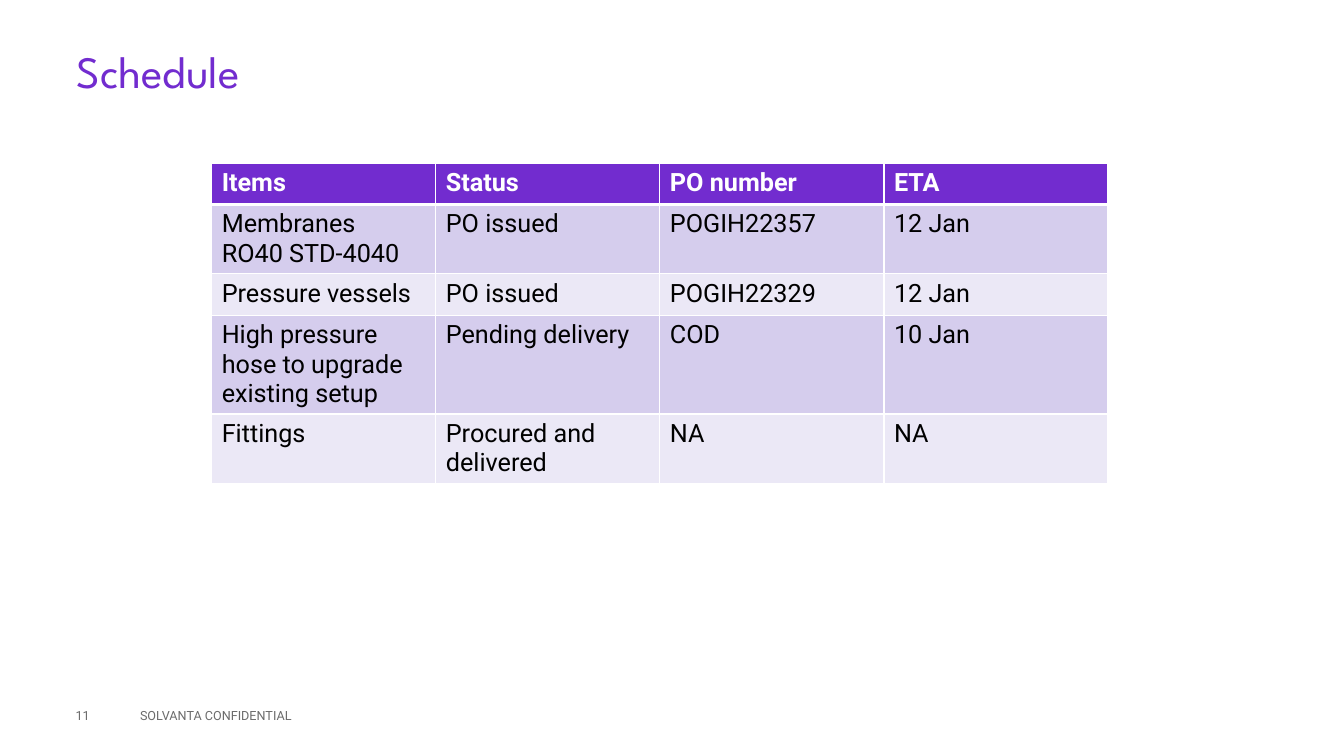
"""Build the schedule slide with its procurement table."""
from dataclasses import dataclass

from lxml import etree
from pptx import Presentation
from pptx import util as u
from pptx.dml.color import RGBColor
from pptx.enum import text
from pptx.oxml import ns

PURPLE, WHITE, BLACK, GREY = "722CCF", "FFFFFF", "000000", "6C6C6C"
BANDS = ("D5CDED", "EBE8F6")
SLIDE_W, SLIDE_H = u.Inches(13.33), u.Inches(7.5)
LINE_H, CELL_PAD, MIN_ROW_H = u.Inches(0.29), u.Inches(0.1), u.Inches(0.41)


@dataclass
class Box:
    """Place on the slide, in percent of its width and height."""
    left: float
    top: float
    width: float
    height: float

    def emu(self) -> tuple[int, int, int, int]:
        """Return left, top, width and height as lengths."""
        return (int(SLIDE_W * self.left / 100), int(SLIDE_H * self.top / 100),
                int(SLIDE_W * self.width / 100), int(SLIDE_H * self.height / 100))


@dataclass
class Row:
    """Table row with the number of text lines in its tallest cell."""
    cells: tuple[str, ...]
    lines: int = 1


@dataclass
class Footer:
    """Small text at the foot of the slide."""
    label: str
    box: Box
    inset: float


ROWS = (
    Row(("Items", "Status", "PO number", "ETA")),
    Row(("Membranes\nRO40 STD-4040", "PO issued", "POGIH22357", "12 Jan"), 2),
    Row(("Pressure vessels", "PO issued", "POGIH22329", "12 Jan")),
    Row(("High pressure hose to upgrade existing setup", "Pending delivery",
         "COD", "10 Jan"), 3),
    Row(("Fittings", "Procured and delivered", "NA", "NA"), 2),
)
FOOTERS = (
    Footer("SOLVANTA CONFIDENTIAL", Box(9.68, 92, 33.76, 5.33), 0.1),
    Footer("11", Box(5.63, 92, 4.05, 5.33), 0),
)
TITLE_BOX = Box(5.7, 5.33, 88.6, 8.93)
TABLE_BOX = Box(15.75, 21.6, 66.69, 42.8)


def color(value: str) -> RGBColor:
    """Turn a hex string into a colour."""
    return RGBColor.from_string(value)


def set_attrs(obj, values: dict) -> None:
    """Set each named attribute of an object."""
    for name, value in values.items():
        setattr(obj, name, value)


def format_text(tf, font: str, size: float, hex_color: str, bold: bool = False) -> None:
    """Format every run of a text frame and align it left."""
    for p in tf.paragraphs:
        p.alignment = text.PP_ALIGN.LEFT
        for r in p.runs:
            set_attrs(r.font, {"name": font, "size": u.Pt(size), "bold": bold})
            r.font.color.rgb = color(hex_color)


def set_frame(tf, inset: float) -> None:
    """Centre a text frame vertically, wrap it and set its left inset."""
    set_attrs(tf, {"word_wrap": True, "auto_size": text.MSO_AUTO_SIZE.NONE,
                   "vertical_anchor": text.MSO_ANCHOR.MIDDLE,
                   "margin_left": u.Inches(inset), "margin_right": u.Inches(0.1),
                   "margin_top": u.Inches(0.05), "margin_bottom": u.Inches(0.05)})


def add_border(cell, side: str, width: float) -> None:
    """Draw a white line on one side of a table cell."""
    tc_pr = cell._tc.get_or_add_tcPr()
    ln = etree.SubElement(tc_pr, ns.qn(f"a:ln{side}"), w=str(u.Pt(width)))
    fill = etree.SubElement(ln, ns.qn("a:solidFill"))
    etree.SubElement(fill, ns.qn("a:srgbClr"), val=WHITE)


def add_title(s, label: str) -> None:
    """Fill and place the title placeholder."""
    sp = s.shapes.title
    sp.left, sp.top, sp.width, sp.height = TITLE_BOX.emu()
    tf = sp.text_frame
    tf.text = label
    set_frame(tf, 0)
    tf.paragraphs[0].line_spacing = 0.9
    format_text(tf, "League Spartan", 32, PURPLE)


def add_footer(s, footer: Footer) -> None:
    """Add one footer text box."""
    tf = s.shapes.add_textbox(*footer.box.emu()).text_frame
    tf.text = footer.label
    set_frame(tf, footer.inset)
    format_text(tf, "Roboto", 9, GREY)


def add_schedule(s, rows: tuple[Row, ...]) -> None:
    """Add the table with a purple header and banded rows."""
    table = s.shapes.add_table(len(rows), len(rows[0].cells), *TABLE_BOX.emu()).table
    for i, row in enumerate(rows):
        header = i == 0
        table.rows[i].height = max(MIN_ROW_H, CELL_PAD + LINE_H * row.lines)
        for j, label in enumerate(row.cells):
            cell = table.cell(i, j)
            cell.text = label
            format_text(cell.text_frame, "Roboto", 18, WHITE if header else BLACK, header)
            for side in "LRTB":
                thick = (header and side == "B") or (i == 1 and side == "T")
                add_border(cell, side, 3 if thick else 1)
            cell.fill.solid()
            cell.fill.fore_color.rgb = color(PURPLE if header else BANDS[(i - 1) % 2])


def main() -> None:
    """Build and save the presentation."""
    prs = Presentation()
    set_attrs(prs, {"slide_width": SLIDE_W, "slide_height": SLIDE_H})
    s = prs.slides.add_slide(prs.slide_layouts.get_by_name("Title Only"))
    add_title(s, "Schedule")
    for footer in FOOTERS:
        add_footer(s, footer)
    add_schedule(s, ROWS)
    prs.save("out.pptx")


if __name__ == "__main__":
    main()
